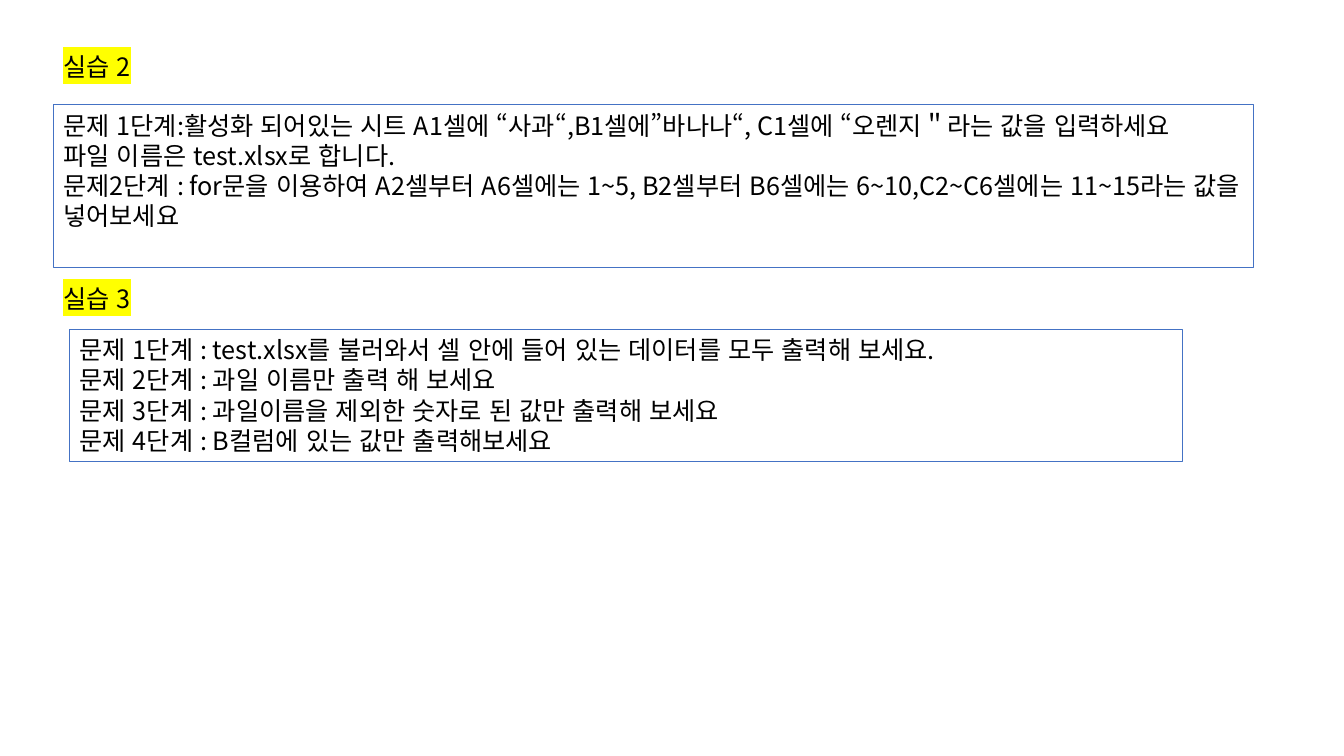
"""Builds a slide with two spreadsheet practice exercises."""
from lxml import etree
from pptx import Presentation
from pptx.dml.color import RGBColor
from pptx.enum.lang import MSO_LANGUAGE_ID
from pptx.enum.shapes import MSO_SHAPE
from pptx.enum.text import MSO_ANCHOR, PP_ALIGN
from pptx.oxml.ns import qn
from pptx.util import Pt

BLACK = RGBColor(0x00, 0x00, 0x00)
BLUE = RGBColor(0x44, 0x72, 0xC4)
YELLOW = RGBColor(0xFF, 0xFF, 0x00)
RECTANGLE = MSO_SHAPE.RECTANGLE
TOP = MSO_ANCHOR.TOP
LEFT = PP_ALIGN.LEFT
KOREAN = MSO_LANGUAGE_ID.KOREAN
FONT = "Noto Sans CJK KR"

EXERCISES = [
    ("실습 2", 33.1, (38.2, 74.9, 857.5, 116.3), [
        "문제 1단계:활성화 되어있는 시트 A1셀에 “사과“,B1셀에”바나나“, C1셀에 “오렌지＂라는 값을 입력하세요",
        "파일 이름은 test.xlsx로 합니다.",
        "문제2단계 : for문을 이용하여 A2셀부터 A6셀에는 1~5, B2셀부터 B6셀에는 6~10,C2~C6셀에는 11~15라는 값을 넣어보세요",
    ]),
    ("실습 3", 198.7, (49.7, 235.4, 795.3, 94.3), [
        "문제 1단계 : test.xlsx를 불러와서 셀 안에 들어 있는 데이터를 모두 출력해 보세요.",
        "문제 2단계 : 과일 이름만 출력 해 보세요",
        "문제 3단계 : 과일이름을 제외한 숫자로 된 값만 출력해 보세요",
        "문제 4단계 : B컬럼에 있는 값만 출력해보세요",
    ]),
]


def write_lines(frame, lines, highlight=None):
    frame.word_wrap = True
    frame.vertical_anchor = TOP
    for index, line in enumerate(lines):
        paragraph = frame.add_paragraph() if index else frame.paragraphs[0]
        paragraph.alignment = LEFT
        paragraph.line_spacing = Pt(21.6)
        run = paragraph.add_run()
        run.text = line
        run.font.size = Pt(18)
        run.font.language_id = KOREAN
        run.font.color.rgb = BLACK
        if highlight is not None:
            marker = etree.SubElement(run.font._element, qn("a:highlight"))
            etree.SubElement(marker, qn("a:srgbClr"), val=str(highlight))
        run.font.name = FONT


presentation = Presentation()
presentation.slide_width = Pt(960)
presentation.slide_height = Pt(540)
slide = presentation.slides.add_slide(presentation.slide_layouts[6])

for heading, heading_top, task_area, steps in EXERCISES:
    task_box = slide.shapes.add_shape(RECTANGLE, *map(Pt, task_area))
    task_box.shadow.inherit = False
    task_box.fill.background()
    task_box.line.color.rgb = BLUE
    task_box.line.width = Pt(0.75)
    write_lines(task_box.text_frame, steps)

    label = slide.shapes.add_textbox(Pt(38.2), Pt(heading_top), Pt(236.2), Pt(28.8))
    write_lines(label.text_frame, [heading], YELLOW)

presentation.save("out.pptx")
